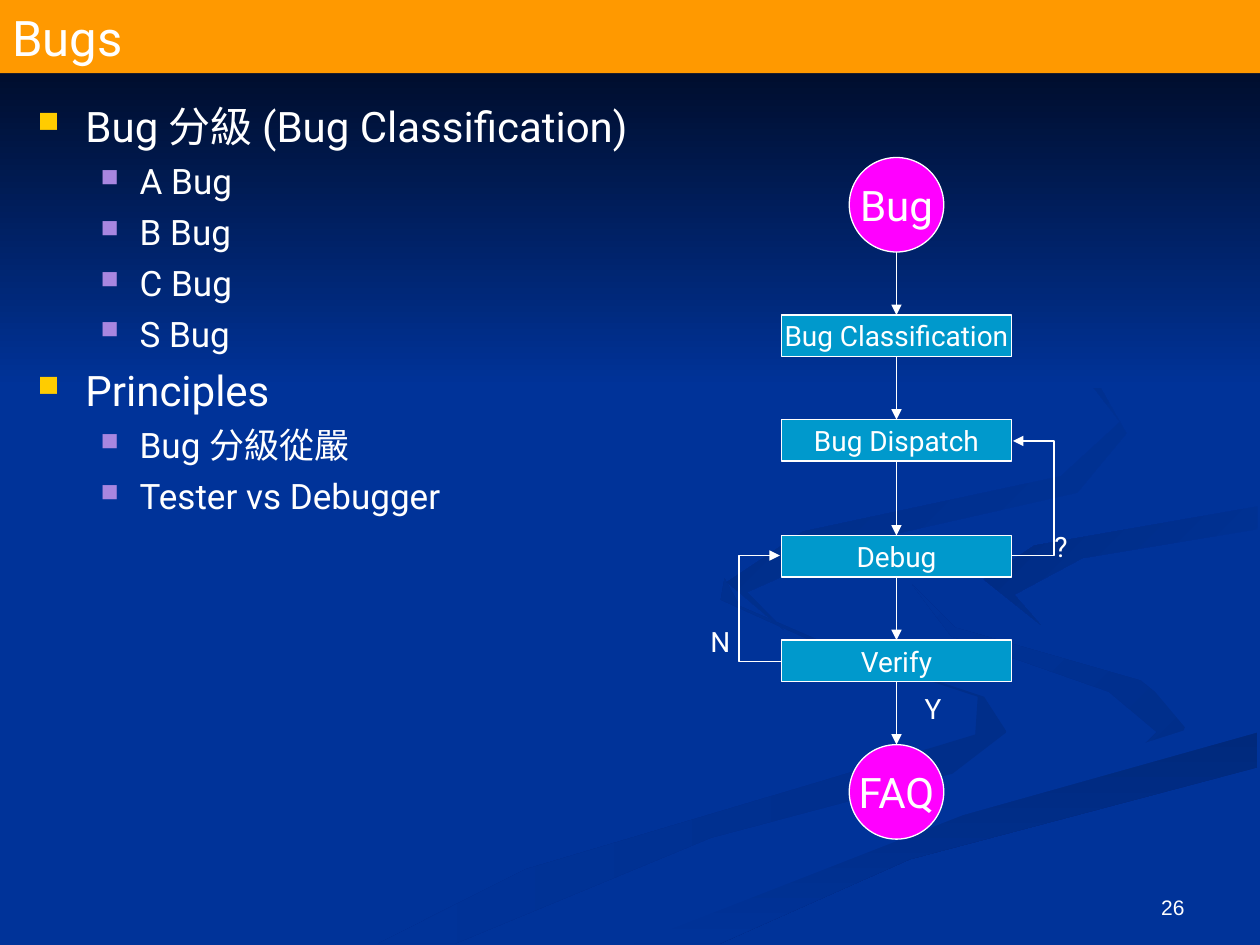
from itertools import pairwise
from lxml import etree
from pptx import Presentation
from pptx.dml.color import RGBColor
from pptx.enum.shapes import MSO_CONNECTOR, MSO_SHAPE
from pptx.enum.text import MSO_ANCHOR, PP_ALIGN
from pptx.oxml.ns import qn
from pptx.util import Pt

PX = 9144
WHITE = RGBColor(0xFF, 0xFF, 0xFF)
NAVY = RGBColor(0x00, 0x33, 0x99)
MIDNIGHT = RGBColor(0x00, 0x05, 0x14)
ORANGE = RGBColor(0xFF, 0x99, 0x00)
CYAN = RGBColor(0x00, 0x99, 0xCC)
MAGENTA = RGBColor(0xFF, 0x00, 0xFF)
GOLD = RGBColor(0xFF, 0xCC, 0x00)
LILAC = RGBColor(0xA8, 0x86, 0xE0)
SHADE = RGBColor(0x00, 0x2E, 0x8A)
DEEP_SHADE = RGBColor(0x00, 0x29, 0x7C)
RIBBON_SHADE = RGBColor(0x00, 0x2B, 0x81)

deck = Presentation()
deck.slide_width, deck.slide_height = 1000 * PX, 750 * PX
page = deck.slides.add_slide(deck.slide_layouts[6])
page.background.fill.solid()
page.background.fill.fore_color.rgb = NAVY


def write(box, text, size, align=PP_ALIGN.LEFT, anchor=MSO_ANCHOR.TOP, wrap=False, font="Roboto"):
    frame = box.text_frame
    frame.text = text
    frame.word_wrap = wrap
    frame.vertical_anchor = anchor
    for para in frame.paragraphs:
        para.alignment = align
        for span in para.runs:
            span.font.size = Pt(size)
            span.font.name = font
            span.font.color.rgb = WHITE


def style_arrow(arrow):
    arrow.line.color.rgb = WHITE
    arrow.line.width = Pt(0.75)
    etree.SubElement(arrow.line._get_or_add_ln(), qn("a:tailEnd"), type="triangle")
    etree.SubElement(arrow._element.spPr, qn("a:effectLst"))


swooshes = [
    (SHADE, NAVY, 180, [
        (781, 553), (661, 513), (587, 481), (575, 459), (572, 476), (654, 513), (776, 553),
        (774, 583), (652, 620), (417, 690), (300, 749), (361, 749), (564, 665), (756, 614),
        (799, 581)]),
    (SHADE, NAVY, 225, [
        (943, 570), (905, 540), (758, 498), (724, 464), (755, 505), (880, 549), (918, 581),
        (894, 605), (937, 586)]),
    (DEEP_SHADE, NAVY, 90, [
        (503, 749), (571, 749), (722, 682), (998, 609), (998, 581), (764, 647), (599, 706)]),
    (NAVY, NAVY, 90, [
        (725, 464), (759, 498), (905, 535), (942, 579), (704, 655), (477, 749), (503, 749),
        (764, 647), (999, 581), (999, 538), (817, 492), (781, 463), (835, 430), (999, 402),
        (999, 387), (770, 427)]),
    (NAVY, RIBBON_SHADE, 225, [
        (781, 460), (826, 496), (805, 472), (859, 443), (998, 420), (998, 402), (821, 433)]),
    (NAVY, RIBBON_SHADE, 225, [
        (683, 430), (855, 391), (894, 344), (864, 291), (762, 233), (846, 279), (889, 335),
        (842, 378), (637, 422), (577, 462), (622, 500), (593, 470)]),
]
backdrop = []
for first, last, angle, points in swooshes:
    builder = page.shapes.build_freeform(*points[0], scale=PX)
    builder.add_line_segments(points[1:], close=True)
    backdrop.append((builder.convert_to_shape(), first, last, angle))
sky = page.shapes.add_shape(MSO_SHAPE.RECTANGLE, 0, 0, 1000 * PX, 308 * PX)
backdrop.append((sky, MIDNIGHT, NAVY, 90))
for shape, first, last, angle in backdrop:
    shape.shadow.inherit = False
    shape.line.fill.background()
    shape.fill.gradient()
    shape.fill.gradient_angle = 360 - angle
    for stop, color, position in zip(shape.fill.gradient_stops, (first, last), (0, 1)):
        stop.color.rgb = color
        stop.position = position

outline = [
    (0, "Bug 分級 (Bug Classification)"), (1, "A Bug"), (1, "B Bug"), (1, "C Bug"), (1, "S Bug"),
    (0, "Principles"), (1, "Bug 分級從嚴"), (1, "Tester vs Debugger"),
]
levels = [(24, 6, GOLD, 38, 38), (20, 5, LILAC, 81, 31)]
body = page.shapes.add_textbox(20 * PX, 75 * PX, 942 * PX, 425 * PX)
write(body, "\n".join(text for level, text in outline), 24, wrap=True)
for para, (level, text) in zip(body.text_frame.paragraphs, outline):
    size, gap, color, margin, hang = levels[level]
    para.level = level
    para.space_before = Pt(gap)
    para.runs[0].font.size = Pt(size)
    properties = para._p.get_or_add_pPr()
    properties.set("marL", str(margin * PX))
    properties.set("indent", str(-hang * PX))
    bullet_color = etree.SubElement(properties, qn("a:buClr"))
    etree.SubElement(bullet_color, qn("a:srgbClr"), val=str(color))
    etree.SubElement(properties, qn("a:buSzPct"), val="70000")
    etree.SubElement(properties, qn("a:buChar"), char="■")

circle = (MSO_SHAPE.OVAL, 674, 75, 75, MAGENTA, 24)
step = (MSO_SHAPE.RECTANGLE, 620, 183, 33, CYAN, 16)
flow = [
    ("Bug", 125, circle), ("Bug Classification", 250, step), ("Bug Dispatch", 333, step),
    ("Debug", 425, step), ("Verify", 508, step), ("FAQ", 591, circle),
]
nodes = []
for text, top, (kind, left, width, height, color, size) in flow:
    node = page.shapes.add_shape(kind, left * PX, top * PX, width * PX, height * PX)
    node.shadow.inherit = False
    node.fill.solid()
    node.fill.fore_color.rgb = color
    node.line.color.rgb = WHITE
    node.line.width = Pt(0.75)
    write(node, text, size, PP_ALIGN.CENTER, MSO_ANCHOR.MIDDLE)
    nodes.append(node)

for upper, lower in pairwise(nodes):
    center = upper.left + upper.width // 2
    arrow = page.shapes.add_connector(
        MSO_CONNECTOR.STRAIGHT, center, upper.top + upper.height, center, lower.top)
    if upper.auto_shape_type == MSO_SHAPE.RECTANGLE:
        arrow.begin_connect(upper, 2)
    arrow.end_connect(lower, 0)
    style_arrow(arrow)

for start_x, start_y, end_x, end_y in [(620, 525, 619, 441), (803, 441, 804, 350)]:
    loop = page.shapes.add_connector(
        MSO_CONNECTOR.ELBOW, start_x * PX, start_y * PX, end_x * PX, end_y * PX)
    style_arrow(loop)
    guides = loop._element.spPr.find(qn("a:prstGeom")).find(qn("a:avLst"))
    etree.SubElement(guides, qn("a:gd"), name="adj1", fmla="val 3400000")

for text, left, top, width in [("Y", 724, 544, 32), ("N", 554, 491, 37), ("?", 827, 415, 30)]:
    label = page.shapes.add_textbox(left * PX, top * PX, width * PX, 37 * PX)
    write(label, text, 16)

banner = page.shapes.add_shape(MSO_SHAPE.RECTANGLE, 0, 0, 1000 * PX, 58 * PX)
banner.shadow.inherit = False
banner.fill.solid()
banner.fill.fore_color.rgb = ORANGE
banner.line.fill.background()
write(banner, "Bugs", 28, anchor=MSO_ANCHOR.MIDDLE, wrap=True)

number = page.shapes.add_textbox(717 * PX, 683 * PX, 233 * PX, 52 * PX)
write(number, "26", 12, PP_ALIGN.RIGHT, MSO_ANCHOR.BOTTOM, True, "Arial")

deck.save("out.pptx")
